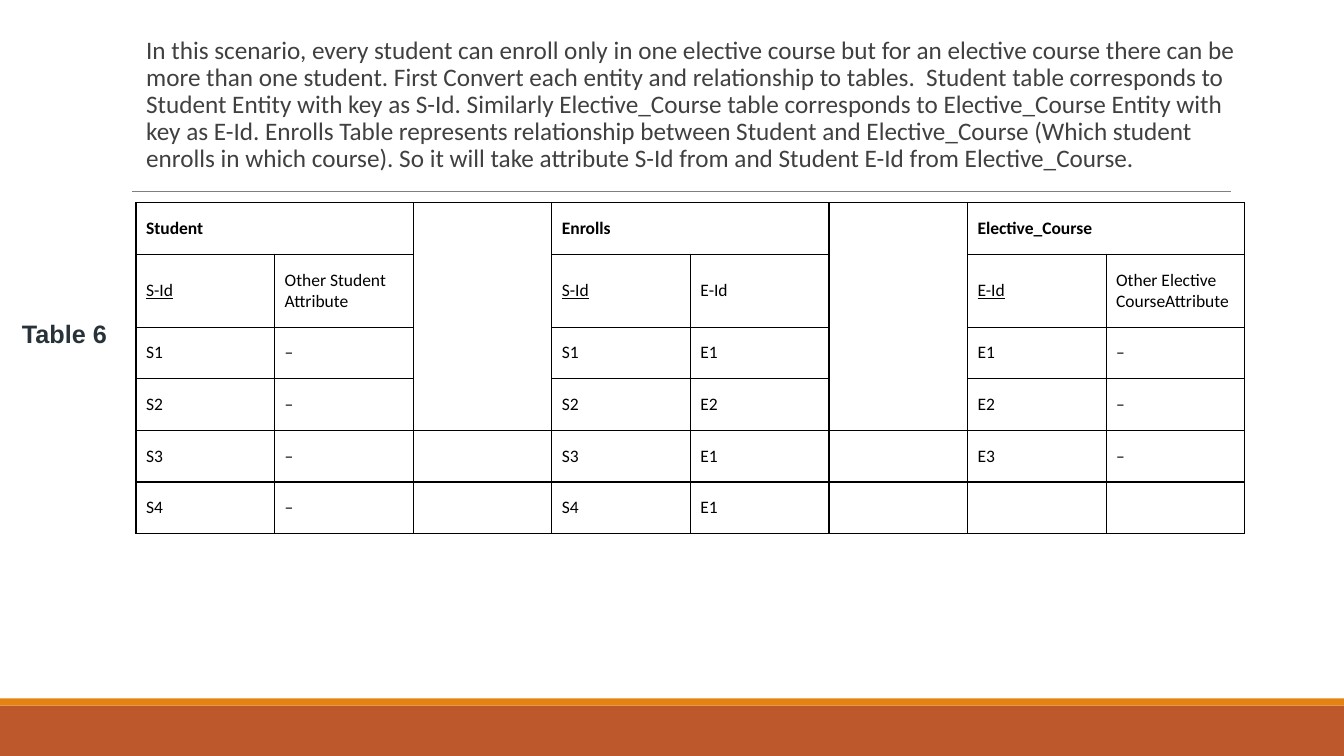
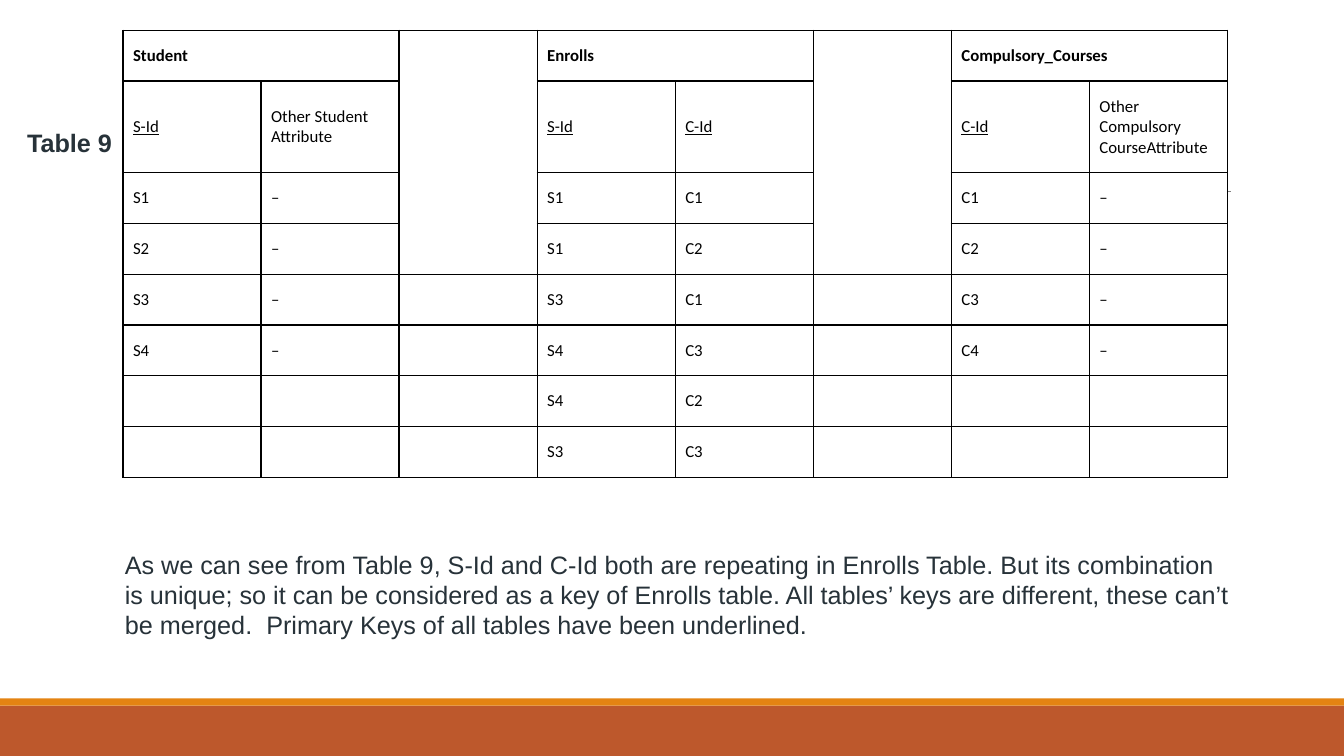
from dataclasses import dataclass

from lxml import etree
from pptx import Presentation
from pptx import util as u
from pptx.dml.color import RGBColor
from pptx.enum import shapes, text
from pptx.oxml.ns import qn

GRID_COLUMNS, GRID_ROWS = 40, 30
GAP_DEPTH = 4  # table rows joined in the blank columns between relations


@dataclass(frozen=True)
class Theme:
    paper: str = "FFFFFF"
    band: str = "BD582C"
    accent: str = "E48312"
    rule: str = "808080"
    body: str = "404040"
    ink: str = "273239"
    cell: str = "000000"
    body_font: str = "Calibri"
    note_font: str = "Arial"
    text_size: float = 18
    rule_width: float = 0.5
    border_width: float = 1


@dataclass(frozen=True)
class Relation:
    """One logical table; key_columns are the underlined headings."""
    name: str
    headings: tuple
    key_columns: tuple
    records: tuple


def write(para, content, *, size, font, color, bold=False, underline=False):
    span = para.add_run()
    span.text = content
    span.font.size = u.Pt(size)
    span.font.name = font
    span.font.color.rgb = RGBColor.from_string(color)
    span.font.bold = bold
    span.font.underline = underline


def add_colored(parent, tag, color):
    node = etree.SubElement(parent, qn(tag))
    etree.SubElement(node, qn("a:srgbClr"), val=color)
    return node


class SlideWriter:
    """Draws on the current slide; lengths are grid columns and rows."""

    def __init__(self, theme):
        self.theme = theme
        self.deck = Presentation()
        self.deck.slide_width = u.Inches(13.33)
        self.deck.slide_height = u.Inches(7.5)
        self.slide = None

    def across(self, columns):
        return round(self.deck.slide_width * columns / GRID_COLUMNS)

    def down(self, rows):
        return round(self.deck.slide_height * rows / GRID_ROWS)

    def area(self, left, top, width, height):
        return self.across(left), self.down(top), self.across(width), self.down(height)

    def new_slide(self):
        layout = self.deck.slide_layouts.get_by_name("Title and Content")
        self.slide = self.deck.slides.add_slide(layout)
        self.band(28, 2, self.theme.band)
        self.band(27.72, 0.28, self.theme.accent)
        self.rule(3.93, 36.63, 7.6)

    def band(self, top, height, color):
        box = self.slide.shapes.add_shape(
            shapes.MSO_SHAPE.RECTANGLE, *self.area(0, top, GRID_COLUMNS, height))
        box.shadow.inherit = False
        box.fill.solid()
        box.fill.fore_color.rgb = RGBColor.from_string(color)
        box.line.fill.background()

    def rule(self, left, right, top):
        line = self.slide.shapes.add_connector(
            shapes.MSO_CONNECTOR.STRAIGHT, self.across(left), self.down(top),
            self.across(right), self.down(top))
        line.line.color.rgb = RGBColor.from_string(self.theme.rule)
        line.line.width = u.Pt(self.theme.rule_width)
        etree.SubElement(line.element.spPr, qn("a:effectLst"))

    def body(self, content, area):
        box = self.slide.placeholders[1]
        box.left, box.top, box.width, box.height = self.area(*area)
        frame = box.text_frame
        frame.auto_size = text.MSO_AUTO_SIZE.NONE
        frame.vertical_anchor = text.MSO_ANCHOR.TOP
        frame.margin_left = frame.margin_right = 0
        frame.margin_top = frame.margin_bottom = u.Inches(0.05)
        para = frame.paragraphs[0]
        para.line_spacing = 0.9
        para.space_before, para.space_after = u.Pt(12), u.Pt(2)
        write(para, content, size=self.theme.text_size,
              font=self.theme.body_font, color=self.theme.body)
        properties = para._p.get_or_add_pPr()
        indent = u.Inches(0.1)
        properties.set("marL", str(indent))
        properties.set("indent", str(-indent))
        add_colored(properties, "a:buClr", self.theme.accent)
        etree.SubElement(properties, qn("a:buChar"), char=" ")

    def note(self, content, area, *, bold=False, wrap=True):
        box = self.slide.shapes.add_textbox(*self.area(*area))
        frame = box.text_frame
        frame.word_wrap = wrap
        frame.auto_size = text.MSO_AUTO_SIZE.SHAPE_TO_FIT_TEXT
        write(frame.paragraphs[0], content, size=self.theme.text_size,
              font=self.theme.note_font, color=self.theme.ink, bold=bold)

    def label(self, content, left, top):
        self.note(content, (left, top, 3.15, 1.6), bold=True, wrap=False)

    def relations(self, relations, left, top, width, *, row, heading_row, size):
        """Set relations side by side in one table, a blank column between them."""
        row_count = 2 + max(len(relation.records) for relation in relations)
        column_count = 3 * len(relations) - 1
        height = row * (row_count - 1) + heading_row
        table = self.slide.shapes.add_table(
            row_count, column_count, *self.area(left, top, width, height)).table
        table.first_row = table.horz_banding = False
        for column in table.columns:
            column.width = self.across(width / column_count)
        for index, table_row in enumerate(table.rows):
            table_row.height = self.down(heading_row if index == 1 else row)
        for cell in table.iter_cells():
            self.style_cell(cell)

        for index, relation in enumerate(relations):
            first = 3 * index
            if index:
                table.cell(0, first - 1).merge(table.cell(GAP_DEPTH - 1, first - 1))
            table.cell(0, first).merge(table.cell(0, first + 1))
            self.fill_cell(table.cell(0, first), relation.name, size, bold=True)
            for offset, heading in enumerate(relation.headings):
                self.fill_cell(table.cell(1, first + offset), heading, size,
                               underline=offset in relation.key_columns)
            for line, record in enumerate(relation.records, 2):
                for offset, value in enumerate(record):
                    self.fill_cell(table.cell(line, first + offset), value, size)

    def style_cell(self, cell):
        cell.fill.solid()
        cell.fill.fore_color.rgb = RGBColor.from_string(self.theme.paper)
        properties = cell._tc.get_or_add_tcPr()
        for position, side in enumerate("LRTB"):
            border = etree.Element(qn(f"a:ln{side}"),
                                   w=str(u.Pt(self.theme.border_width)))
            add_colored(border, "a:solidFill", self.theme.cell)
            properties.insert(position, border)

    def fill_cell(self, cell, content, size, **emphasis):
        cell.vertical_anchor = text.MSO_ANCHOR.MIDDLE
        cell.margin_left = cell.margin_right = u.Inches(0.1)
        cell.margin_top = cell.margin_bottom = u.Inches(0.15)
        write(cell.text_frame.paragraphs[0], content, size=size,
              font=self.theme.body_font, color=self.theme.cell, **emphasis)

    def save(self):
        for slide in self.deck.slides:
            for box in list(slide.placeholders):
                if not box.text_frame.text:
                    box.element.getparent().remove(box.element)
        self.deck.save("out.pptx")


def with_dashes(*keys):
    return tuple((key, "–") for key in keys)


STUDENT = Relation("Student", ("S-Id", "Other Student Attribute"), (0,),
                   with_dashes("S1", "S2", "S3", "S4"))


def elective_slide(writer):
    writer.new_slide()
    writer.body(
        "In this scenario, every student can enroll only in one elective course but "
        "for an elective course there can be more than one student. First Convert each "
        "entity and relationship to tables.  Student table corresponds to Student "
        "Entity with key as S-Id. Similarly Elective_Course table corresponds to "
        "Elective_Course Entity with key as E-Id. Enrolls Table represents relationship "
        "between Student and Elective_Course (Which student enrolls in which course). "
        "So it will take attribute S-Id from and Student E-Id from Elective_Course.",
        (4.05, 1.28, 33, 17.6))
    enrolls = Relation("Enrolls", ("S-Id", "E-Id"), (0,),
                       (("S1", "E1"), ("S2", "E2"), ("S3", "E1"), ("S4", "E1")))
    courses = Relation("Elective_Course", ("E-Id", "Other Elective CourseAttribute"),
                       (0,), with_dashes("E1", "E2", "E3"))
    writer.relations((STUDENT, enrolls, courses), 4.05, 8.04, 33,
                     row=2, heading_row=2.86, size=12.5)
    writer.label("Table 6", 0.36, 12.44)


def compulsory_slide(writer):
    writer.new_slide()
    enrolls = Relation("Enrolls", ("S-Id", "C-Id"), (0, 1),
                       (("S1", "C1"), ("S1", "C2"), ("S3", "C1"),
                        ("S4", "C3"), ("S4", "C2"), ("S3", "C3")))
    courses = Relation("Compulsory_Courses",
                       ("C-Id", "Other Compulsory CourseAttribute"),
                       (0,), with_dashes("C1", "C2", "C3", "C4"))
    writer.relations((STUDENT, enrolls, courses), 3.66, 1.2, 32.88,
                     row=1.98, heading_row=3.6, size=12)
    writer.label("Table 9", 0.51, 4.84)
    writer.note(
        "As we can see from Table 9, S-Id and C-Id both are repeating in Enrolls Table. "
        "But its combination is unique; so it can be considered as a key of Enrolls "
        "table. All tables’ keys are different, these can’t be merged.  Primary Keys of "
        "all tables have been underlined.",
        (3.42, 21.6, 33.63, 4.04))


def main():
    writer = SlideWriter(Theme())
    elective_slide(writer)
    compulsory_slide(writer)
    writer.save()


if __name__ == "__main__":
    main()
